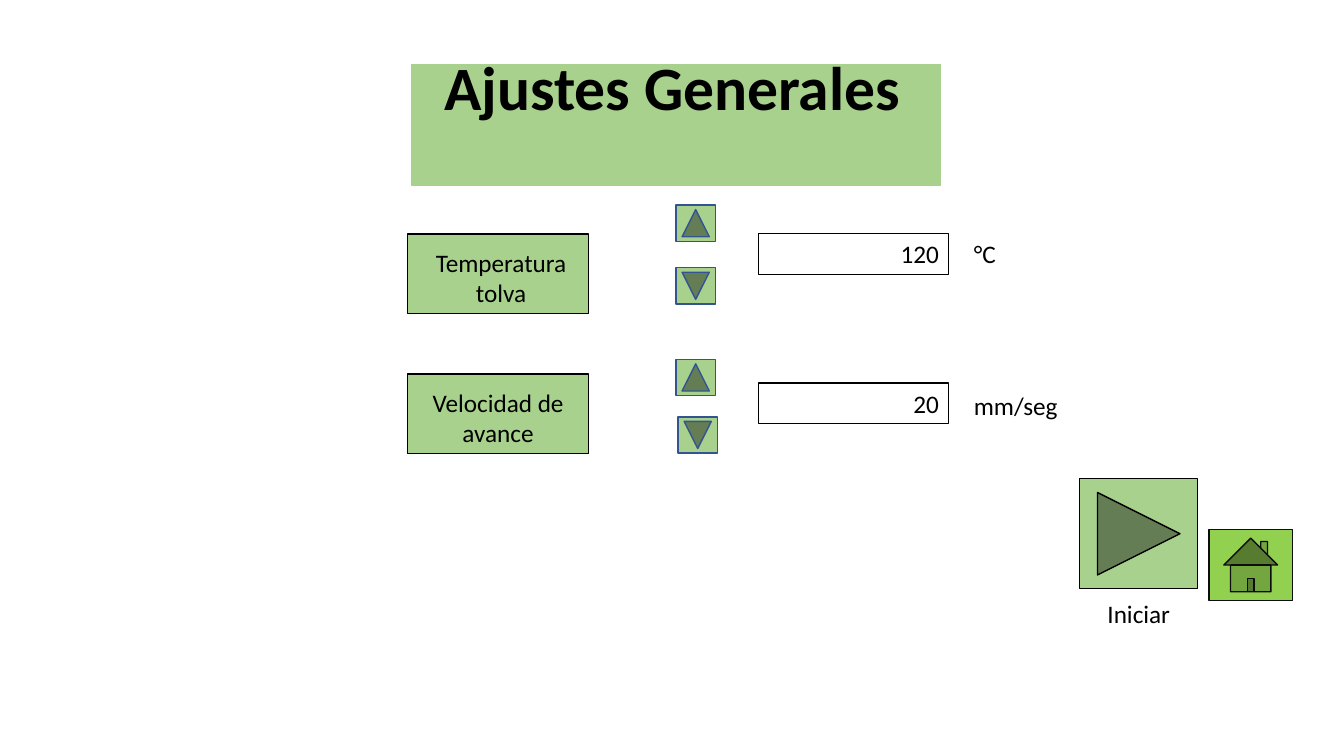
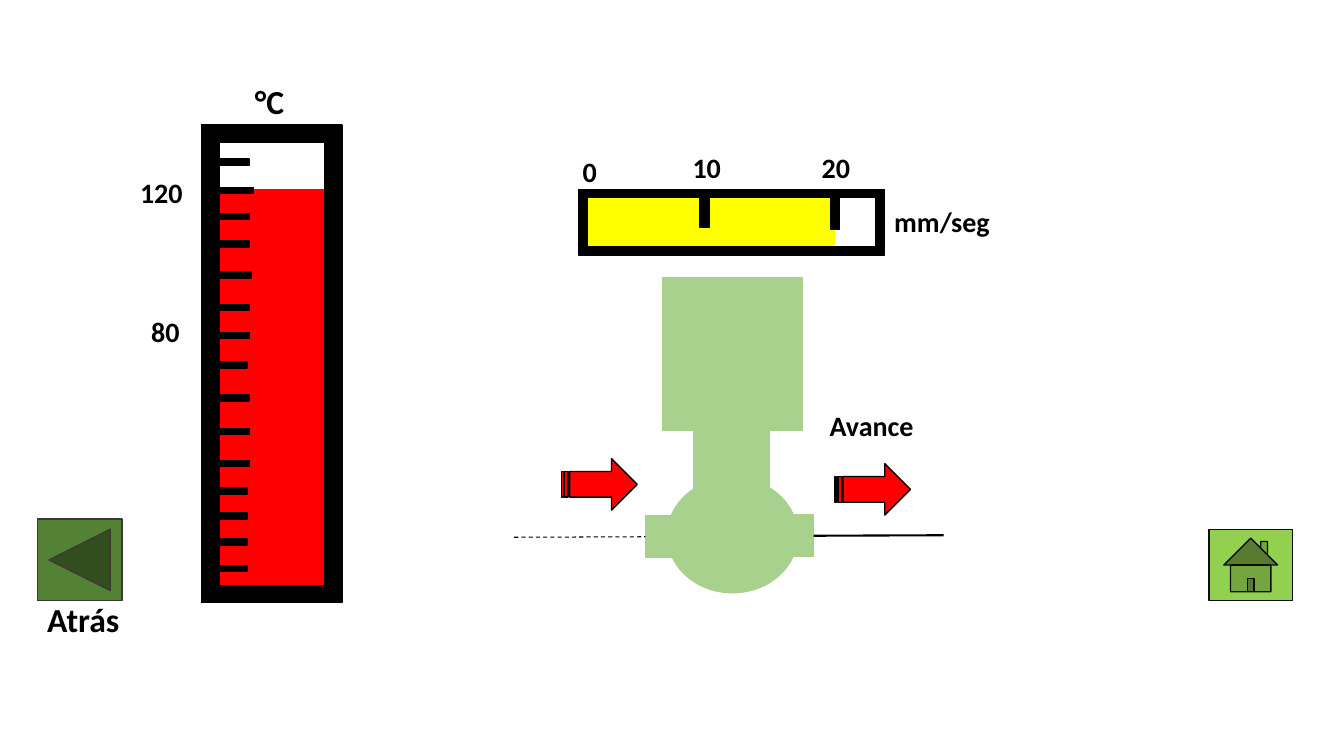
from dataclasses import dataclass

from lxml import etree
from pptx import Presentation
from pptx.dml.color import RGBColor
from pptx.enum import dml, shapes, text
from pptx.oxml.ns import qn
from pptx.util import Inches, Pt

G = shapes.MSO_SHAPE
AL = text.PP_ALIGN


@dataclass(frozen=True)
class Theme:
    font: str = "Calibri"
    black: str = "000000"
    white: str = "FFFFFF"
    green: str = "A9D18E"
    home: str = "92D050"
    home_line: str = "0D0D0D"
    back: str = "548235"
    back_line: str = "3B3838"
    button_line: str = "325491"
    red: str = "FF0000"
    yellow: str = "FFFF00"
    body: int = 18
    scale: int = 20
    caption: int = 24
    title: int = 44


T = Theme()


def rgb(color):
    return RGBColor.from_string(color)


# Element builders
def write(sp, words, size=T.body, bold=False, align=AL.LEFT, spacing=None, wrap=True):
    tf = sp.text_frame
    tf.word_wrap = wrap
    tf.vertical_anchor = text.MSO_ANCHOR.TOP
    p = tf.paragraphs[0]
    p.alignment = align
    if spacing:
        p.line_spacing = spacing
    r = p.add_run()
    r.text = words
    r.font.name = T.font
    r.font.size = Pt(size)
    r.font.bold = bold
    r.font.color.rgb = rgb(T.black)


def add_text(s, words, x, y, w, h, **fmt):
    write(s.shapes.add_textbox(*map(Inches, (x, y, w, h))), words, **fmt)


def add_shape(s, kind, x, y, w, h, fill=None, line=None, width=1, rotation=0):
    """Draw a preset shape; its outline takes the fill colour unless line is given."""
    sp = s.shapes.add_shape(kind, *map(Inches, (x, y, w, h)))
    sp.shadow.inherit = False
    sp.rotation = rotation
    if fill:
        sp.fill.solid()
        sp.fill.fore_color.rgb = rgb(fill)
    else:
        sp.fill.background()
    sp.line.color.rgb = rgb(line or fill)
    sp.line.width = Pt(width)
    return sp


def add_line(s, x1, y1, x2, y2, width, dash=None):
    cx = s.shapes.add_connector(shapes.MSO_CONNECTOR.STRAIGHT,
                                *map(Inches, (x1, y1, x2, y2)))
    cx.line.color.rgb = rgb(T.black)
    cx.line.width = Pt(width)
    if dash:
        cx.line.dash_style = dash
    etree.SubElement(cx._element.spPr, qn("a:effectLst"))
    return cx


def add_home_button(s):
    add_shape(s, G.ACTION_BUTTON_HOME, 11.99, 5.25, 0.83, 0.71, T.home, T.home_line)


def add_setting(s, label, label_y, label_w, steppers, value, value_y, unit, unit_y):
    """One settings row: name, up and down buttons, value field and unit."""
    add_shape(s, G.RECTANGLE, 4.04, label_y, 1.8, 0.79, T.green, T.black)
    add_text(s, label, 4.13, label_y + 0.08, label_w, 0.71, align=AL.CENTER)
    for (x, y), turn in zip(steppers, (90, 270)):
        add_shape(s, G.ACTION_BUTTON_BACK_OR_PREVIOUS, x, y, 0.36, 0.39,
                  T.green, T.button_line, rotation=turn)
    field = add_shape(s, G.RECTANGLE, 7.52, value_y, 1.89, 0.4,
                      line=T.black, width=0.75)
    write(field, value, align=AL.RIGHT)
    add_text(s, unit, 9.56, unit_y, 1.15, 0.4)


def add_thermometer(s):
    x, y, w, h = 2, 1.24, 1.39, 4.74
    add_shape(s, G.RECTANGLE, x, y, w, h, T.white, T.black)
    add_shape(s, G.RECTANGLE, 2.13, 1.88, 1.16, 4.01, T.red)
    add_shape(s, G.FRAME, x, y, w, h, T.black)
    # Tick marks, grouped by left edge
    ticks = {
        2.05: (3.49, 4.74, 4.99, 5.25, 5.51),
        2.07: (1.48, 2.02, 2.29, 2.92, 3.2, 3.82, 4.15, 4.47),
        2.09: (2.6,),
        2.11: (1.76,),
    }
    for left, tops in ticks.items():
        for top in tops:
            add_shape(s, G.MATH_MINUS, left, top, 0.46, 0.26, T.black)
    add_text(s, "°C", 2.43, 0.75, 0.64, 0.5, size=T.caption, bold=True)
    for mark, left, top in (("120", 1.24, 1.69), ("80", 1.21, 3.07)):
        add_text(s, mark, left, top, 0.67, 0.44, size=T.scale, bold=True,
                 align=AL.RIGHT)


def add_speed_gauge(s):
    add_shape(s, G.RECTANGLE, 5.74, 1.92, 2.54, 0.56, T.yellow)
    add_shape(s, G.FRAME, 5.74, 1.88, 3.03, 0.65, T.black)
    for left, top in ((6.77, 1.9), (8.06, 1.92)):
        add_shape(s, G.MATH_MINUS, left, top, 0.44, 0.39, T.black, rotation=90)
    for label, left, top in (("0", 5.68, 1.48), ("10", 6.77, 1.44),
                             ("20", 8.05, 1.44), ("mm/seg", 8.77, 1.98)):
        add_text(s, label, left, top, 1.28, 0.44, size=T.scale, bold=True)


def add_extruder(s):
    # Hopper, chamber and neck
    add_shape(s, G.RECTANGLE, 6.57, 2.76, 1.39, 1.51, T.green)
    add_shape(s, G.OVAL, 6.62, 4.74, 1.29, 1.14, T.green)
    add_shape(s, G.RECTANGLE, 6.88, 4.09, 0.75, 0.92, T.green)
    # Inlet and outlet with the wire passing through
    inlet = add_shape(s, G.RECTANGLE, 6.4, 5.12, 0.33, 0.41, T.green)
    outlet = add_shape(s, G.RECTANGLE, 7.74, 5.11, 0.33, 0.41, T.green)
    add_line(s, 8.07, 5.32, 9.36, 5.31, 1.5).begin_connect(outlet, 3)
    add_line(s, 5.1, 5.33, 6.4, 5.32, 0.75, dml.MSO_LINE.DASH).end_connect(inlet, 1)
    # Feed direction
    for left, top in ((8.28, 4.6), (5.57, 4.55)):
        add_shape(s, G.STRIPED_RIGHT_ARROW, left, top, 0.75, 0.51, T.red, T.black)
    add_text(s, "Avance", 8.13, 4, 1.28, 0.44, size=T.scale, bold=True)


# Slides
def build_settings(s):
    add_shape(s, G.RECTANGLE, 4.08, 0.64, 5.25, 1.2, T.green)
    add_text(s, "Ajustes Generales", 0.92, 0.52, 11.5, 1.45, size=T.title,
             bold=True, align=AL.CENTER, spacing=0.9)
    add_setting(s, "Temperatura tolva", 2.32, 1.68, ((6.72, 2.02), (6.72, 2.64)),
                "120", 2.32, "°C", 2.32)
    add_setting(s, "Velocidad de avance", 3.71, 1.62, ((6.72, 3.55), (6.74, 4.12)),
                "20", 3.8, "mm/seg", 3.82)
    add_shape(s, G.ACTION_BUTTON_FORWARD_OR_NEXT, 10.71, 4.75, 1.17, 1.09,
              T.green, T.black)
    add_text(s, "Iniciar", 10.71, 5.89, 1.17, 0.4, align=AL.CENTER)
    add_home_button(s)


def build_monitor(s):
    add_thermometer(s)
    add_speed_gauge(s)
    add_extruder(s)
    add_home_button(s)
    add_shape(s, G.ACTION_BUTTON_BACK_OR_PREVIOUS, 0.37, 5.15, 0.84, 0.81,
              T.back, T.back_line)
    add_text(s, "Atrás", 0.37, 5.89, 0.99, 0.5, size=T.caption, bold=True)


def main():
    prs = Presentation()
    prs.slide_width, prs.slide_height = Inches(13.33), Inches(7.5)
    for build in (build_settings, build_monitor):
        build(prs.slides.add_slide(prs.slide_layouts[6]))
    prs.save("out.pptx")


if __name__ == "__main__":
    main()
